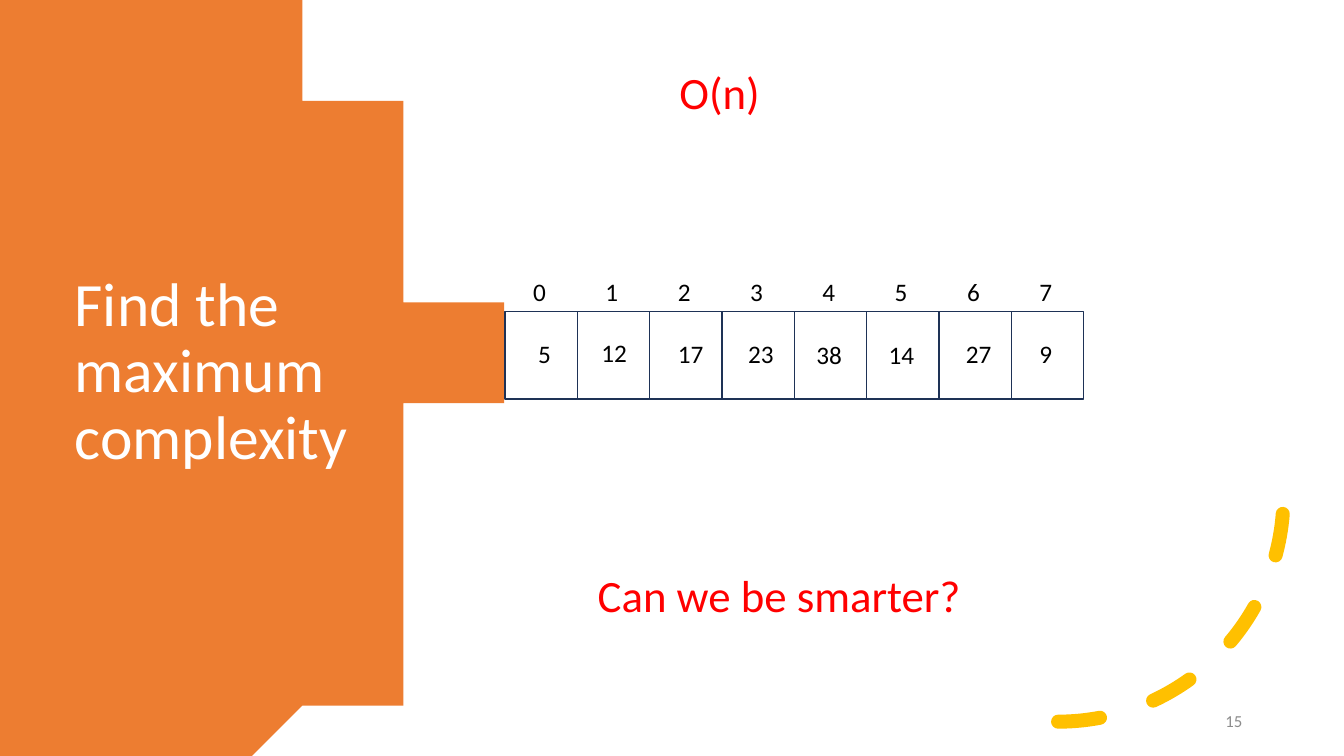
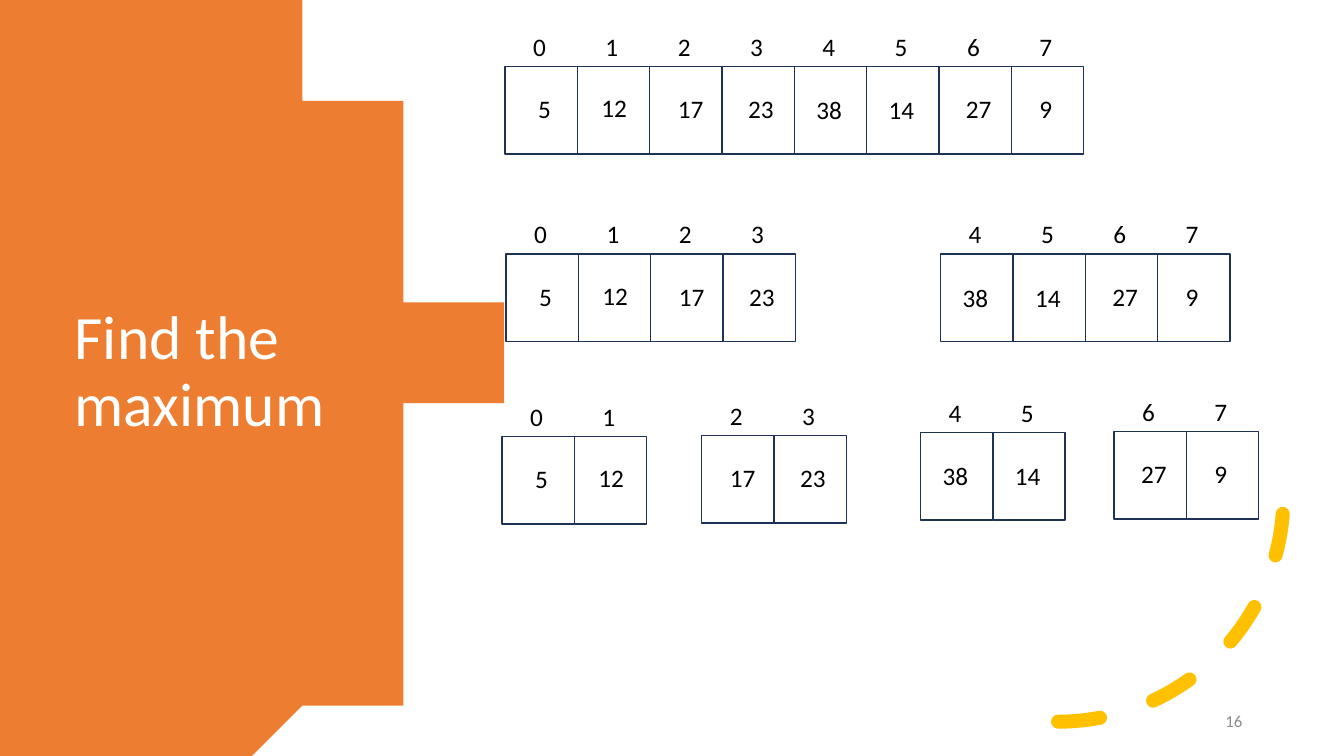
from math import asin, cos, sin

from pptx import Presentation
from pptx.dml.color import RGBColor
from pptx.enum.dml import MSO_LINE
from pptx.enum.shapes import MSO_SHAPE as SHAPE
from pptx.enum.text import MSO_ANCHOR as ANCHOR, MSO_AUTO_SIZE as AUTO, PP_ALIGN as ALIGN
from pptx.util import Inches, Pt

FONT = "Calibri"
ORANGE, GOLD, NAVY = "ED7D31", "FFC000", "1E3256"
WHITE, BLACK, GRAY, RED = "FFFFFF", "000000", "8C8C8C", "FF0000"

SLIDE_W, SLIDE_H = 13.33, 7.5
CELL_W, CELL_H = 5.02 / 7, 0.87
LABEL_H = 0.4

# Each number with its offset from the top left corner of its cell
NUMBERS = [("5", 0.23, 0.22), ("12", 0.14, 0.21), ("17", 0.18, 0.22), ("23", 0.16, 0.22),
           ("38", 0.12, 0.23), ("14", 0.12, 0.23), ("27", 0.17, 0.22), ("9", 0.18, 0.22)]


def rgb(color):
    return RGBColor.from_string(color)


def write(sp, text, size=18, color=BLACK, align=ALIGN.LEFT, anchor=ANCHOR.TOP,
          wrap=True, fit=AUTO.SHAPE_TO_FIT_TEXT, spacing=None):
    """Fill a shape with one formatted paragraph; a vertical tab breaks the line."""
    tf = sp.text_frame
    tf.word_wrap, tf.auto_size, tf.vertical_anchor = wrap, fit, anchor
    p = tf.paragraphs[0]
    p.text, p.alignment, p.line_spacing = text, align, spacing
    for r in p.runs:
        r.font.name, r.font.size = FONT, Pt(size)
        r.font.color.rgb = rgb(color)


class Deck:
    def __init__(self):
        self.prs = Presentation()
        self.prs.slide_width, self.prs.slide_height = Inches(SLIDE_W), Inches(SLIDE_H)
        self.s = None

    def slide(self, title, number):
        self.s = self.prs.slides.add_slide(self.prs.slide_layouts[5])
        sp = self.s.shapes.title
        sp.left, sp.top, sp.width, sp.height = map(Inches, (0.64, 1.26, 4.11, 4.88))
        write(sp, title, size=44, color=WHITE, anchor=ANCHOR.MIDDLE,
              fit=AUTO.NONE, spacing=0.9)
        self.half_disc()
        self.dashed_arc()
        self.text(number, 9.42, 6.95, 3, LABEL_H, size=12, color=GRAY,
                  align=ALIGN.RIGHT, anchor=ANCHOR.MIDDLE, fit=AUTO.NONE)

    def half_disc(self, center_x=0.15, radius=4.41, steps=96):
        """Draw the disc behind the title, cut off by the slide edges."""
        middle = SLIDE_H / 2
        reach = asin(middle / radius)
        angles = [reach * (2 * i / steps - 1) for i in range(steps + 1)]
        rim = [(center_x + radius * cos(a), middle + radius * sin(a)) for a in angles]
        builder = self.s.shapes.build_freeform(0, 0, scale=Inches(1))
        builder.add_line_segments(rim + [(0, SLIDE_H)], close=True)
        sp = builder.convert_to_shape()
        sp.shadow.inherit = False
        sp.fill.solid()
        sp.fill.fore_color.rgb = rgb(ORANGE)
        sp.line.fill.background()
        self.s.shapes.title.element.addprevious(sp.element)

    def outline(self, kind, left, top, width, height, color, weight):
        sp = self.s.shapes.add_shape(kind, *map(Inches, (left, top, width, height)))
        sp.shadow.inherit = False
        sp.fill.background()
        sp.line.color.rgb = rgb(color)
        sp.line.width = Pt(weight)
        return sp

    def dashed_arc(self):
        sp = self.outline(SHAPE.ARC, 8.26, 2.69, 4.47, 4.47, GOLD, 10)
        sp.line.dash_style = MSO_LINE.DASH
        sp.element.spPr.xfrm.set("flipV", "1")
        sp.element.spPr.ln.set("cap", "rnd")

    def text(self, text, left, top, width, height, **style):
        sp = self.s.shapes.add_textbox(*map(Inches, (left, top, width, height)))
        write(sp, text, **style)

    def label(self, text, left, top):
        self.text(text, left, top, 0.2 + 0.13 * len(text), LABEL_H, wrap=False)

    def array(self, first, last, left, top):
        """Draw the cells first to last with their indices above them."""
        for i in range(first, last + 1):
            x = left + (i - first) * CELL_W
            number, dx, dy = NUMBERS[i]
            self.outline(SHAPE.RECTANGLE, x, top, CELL_W, CELL_H, NAVY, 1)
            self.label(str(i), x + 0.18, top - LABEL_H)
            self.label(number, x + dx, top + dy)


def main():
    deck = Deck()

    deck.slide("Find the maximum\vcomplexity", "15")
    deck.array(0, 7, 5.01, 3.09)
    deck.text("O(n)", 6.64, 0.59, 3.41, 0.64, size=32, color=RED)
    deck.text("Can we be smarter?", 5.83, 5.58, 4.22, 0.64, size=32, color=RED)

    deck.slide("Find the maximum", "16")
    for part in [(0, 7, 5.01, 0.66),
                 (0, 3, 5.02, 2.52), (4, 7, 9.33, 2.52),
                 (0, 1, 4.98, 4.33), (2, 3, 6.96, 4.32),
                 (4, 5, 9.13, 4.29), (6, 7, 11.05, 4.28)]:
        deck.array(*part)

    deck.prs.save("out.pptx")


if __name__ == "__main__":
    main()
